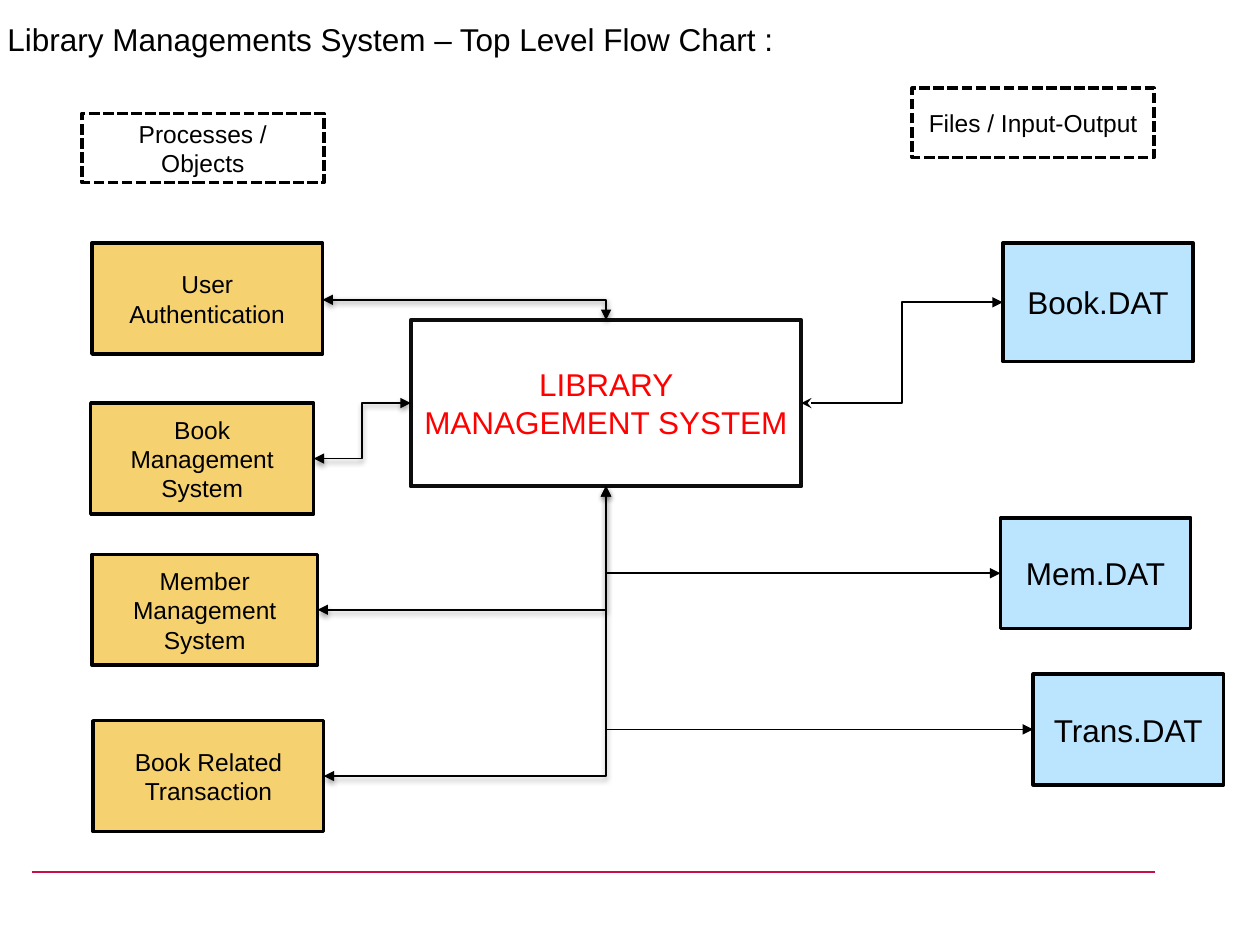
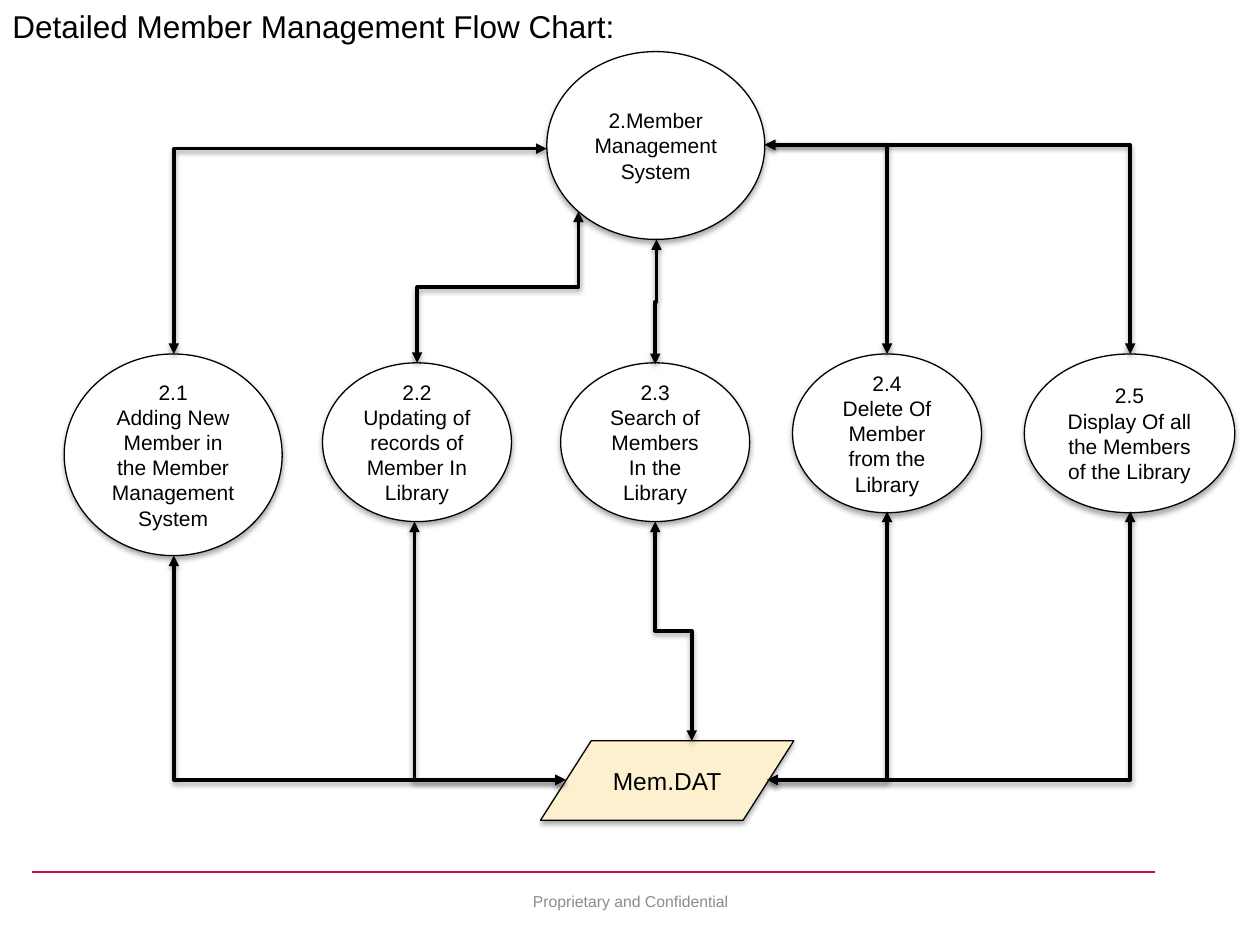
from pptx import Presentation
from pptx.dml.color import RGBColor
from pptx.enum import dml, shapes, text
from pptx.oxml import parse_xml
from pptx.oxml.ns import nsdecls, qn
from pptx.util import Inches, Pt

BLACK = RGBColor(0, 0, 0)
INK = RGBColor(0x0D, 0x0D, 0x0D)
WHITE = RGBColor(255, 255, 255)
RED = RGBColor(255, 0, 0)
GOLD = RGBColor(0xF5, 0xD1, 0x70)
CREAM = RGBColor(0xFC, 0xF0, 0xCF)
SKY = RGBColor(0xBB, 0xE5, 0xFF)
ROSE = RGBColor(0xC8, 0x10, 0x46)
GREY = RGBColor(0x8C, 0x8C, 0x8C)
FONT = "Arial"
KIND = shapes.MSO_SHAPE
MID = text.MSO_ANCHOR.MIDDLE
LEFT = text.PP_ALIGN.LEFT
CENTER = text.PP_ALIGN.CENTER


def write(item, words, size=14, color=BLACK, align=CENTER, anchor=MID, wrap=True, inset=None):
    """Fill a shape with formatted paragraphs, one for each line of words."""
    frame = item.text_frame
    frame.word_wrap = wrap
    frame.vertical_anchor = anchor
    if inset is not None:
        frame.margin_left = frame.margin_right = Inches(inset)
        frame.margin_top = frame.margin_bottom = Inches(inset)
    frame.text = words
    for para in frame.paragraphs:
        para.alignment = align
        font = para.runs[0].font
        font.name, font.size, font.color.rgb = FONT, Pt(size), color


def shade(props, alpha, dist):
    """Give shape properties a soft shadow that falls straight down."""
    old = props.find(qn("a:effectLst"))
    if old is not None:
        props.remove(old)
    drop = (f'<a:outerShdw blurRad="40000" dist="{dist}" dir="5400000" rotWithShape="0">'
            f'<a:srgbClr val="000000"><a:alpha val="{alpha}000"/></a:srgbClr>'
            '</a:outerShdw>') if alpha else ""
    props.append(parse_xml(f'<a:effectLst {nsdecls("a")}>{drop}</a:effectLst>'))


class Pane:
    """A region of a slide whose items are placed from its top left corner."""

    def __init__(self, slide, left=0, top=0):
        self.items, self.left, self.top = slide.shapes, left, top

    def spot(self, x, y):
        """Turn a place in the region into a place on the slide."""
        return Inches(self.left + x), Inches(self.top + y)

    def label(self, box, words, **form):
        """Add a text box."""
        x, y, w, h = box
        item = self.items.add_textbox(*self.spot(x, y), Inches(w), Inches(h))
        write(item, words, **form)

    def node(self, box, words, kind=KIND.RECTANGLE, fill=None, line=BLACK,
             width=2, dash=None, shadow=False, **form):
        """Add an outlined shape with text."""
        x, y, w, h = box
        item = self.items.add_shape(kind, *self.spot(x, y), Inches(w), Inches(h))
        if fill is None:
            item.fill.background()
        else:
            item.fill.solid()
            item.fill.fore_color.rgb = fill
        item.line.color.rgb, item.line.width = line, Pt(width)
        if dash:
            item.line.dash_style = dash
        shade(item._element.spPr, 35 if shadow else 0, 23000)
        write(item, words, **form)

    def link(self, start, end, kind="bend", color=BLACK, width=1.0,
             ends=("triangle", "triangle"), shadow=True):
        """Join two points: straight, bend (across, then up or down), step or drop."""
        (ax, ay), (bx, by) = start, end
        if kind == "drop":
            mx, my = (ax + bx) / 2, (ay + by) / 2
            dx, dy = (bx - ax) / 2, (by - ay) / 2
            ax, ay, bx, by = mx - dy, my + dx, mx + dy, my - dx
        style = shapes.MSO_CONNECTOR.STRAIGHT if kind == "straight" else shapes.MSO_CONNECTOR.ELBOW
        item = self.items.add_connector(style, *self.spot(ax, ay), *self.spot(bx, by))
        item.line.color.rgb, item.line.width = color, Pt(width)
        props = item._element.spPr
        if kind == "bend":
            props.prstGeom.set("prst", "bentConnector2")
        if kind == "drop":
            props.xfrm.set("rot", "5400000")
        for tag, tip in zip(("headEnd", "tailEnd"), ends):
            props.ln.append(parse_xml(f'<a:{tag} {nsdecls("a")} type="{tip}"/>'))
        shade(props, 38 if shadow else 0, 20000)


def base(deck):
    """Add a blank slide with the rule along its foot."""
    slide = deck.slides.add_slide(deck.slide_layouts[6])
    Pane(slide).link((0.25, 6.92), (9.17, 6.92), "straight", ROSE, 0.75, (), False)
    return slide


def tasks(pane):
    """Draw the column of processes."""
    pane.node((0, 0, 1.92, 0.55), "Processes / Objects", dash=dml.MSO_LINE.SQUARE_DOT)
    for x, y, w, words in (
            (0.08, 1.03, 1.83, "User Authentication"),
            (0.07, 2.3, 1.77, "Book Management System"),
            (0.08, 3.5, 1.79, "Member Management System"),
            (0.09, 4.82, 1.83, "Book Related Transaction")):
        pane.node((x, y, w, 0.88), words, fill=GOLD)


def files(pane):
    """Draw the column of data files."""
    pane.node((0, 0, 1.92, 0.55), "Files / Input-Output", dash=dml.MSO_LINE.SQUARE_DOT)
    for x, y, h, words in ((0.72, 1.23, 0.94, "Book.DAT"),
                           (0.7, 3.41, 0.88, "Mem.DAT"),
                           (0.96, 4.65, 0.88, "Trans.DAT")):
        pane.node((x, y, 1.51, h), words, fill=SKY, size=18)


def hub(pane):
    """Draw the central system and its links to both columns."""
    pane.node((0, 0, 3.1, 1.32), "LIBRARY MANAGEMENT SYSTEM", KIND.FLOWCHART_PROCESS,
              line=INK, width=2.25, size=18, color=RED)
    mid, foot = 1.55, 1.32
    pane.link((3.1, 0.66), (4.7, -0.14), "step", ends=("stealth", "triangle"), shadow=False)
    pane.link((-0.77, 1.1), (0, 0.66), "step")
    pane.link((-0.7, -0.16), (mid, 0), width=1.5)
    for x, y in ((-0.74, 2.3), (-0.69, 3.62)):
        pane.link((x, y), (mid, foot))
    for x, y in ((4.94, 3.25), (4.68, 2.01)):
        pane.link((x, y), (mid, foot), ends=("triangle", "stealth"), shadow=False)


def member(pane):
    """Draw the member system, its five tasks and the data file they share."""
    disc = dict(kind=KIND.OVAL, fill=WHITE, width=0.75, shadow=True, size=12)
    pane.node((3.78, 5.47, 2.01, 0.63), "Mem.DAT", KIND.FLOWCHART_DATA,
              fill=CREAM, width=0.75, shadow=True)
    pane.node((3.83, 0, 1.73, 1.49), "2.Member Management System", **disc)
    steps = (((0, 2.4, 1.73, 1.6), "Adding New Member in the Member Management System"),
             ((2.05, 2.47, 1.5, 1.26), "Updating of records of Member In Library"),
             ((3.94, 2.47, 1.5, 1.26), "Search of Members In the Library"),
             ((5.78, 2.4, 1.5, 1.26), "Delete Of Member from the Library"),
             ((7.62, 2.4, 1.67, 1.26), "Display Of all the Members of the Library"))
    for num, (box, words) in enumerate(steps, 1):
        pane.node(box, f"2.{num}\n{words}", **disc)
    pane.link((3.83, 0.77), (0.87, 2.4), width=2)
    for x in (6.53, 8.46):
        pane.link((5.56, 0.74), (x, 2.4), width=2)
        pane.link((5.58, 5.78), (x, 3.65), width=2)
    for x, y in ((0.87, 4), (2.78, 3.73)):
        pane.link((3.98, 5.78), (x, y), width=2)
    for start, end in (((4.08, 1.27), (2.8, 2.47)),
                       ((4.7, 1.49), (4.69, 2.48)),
                       ((4.69, 3.73), (4.98, 5.47))):
        pane.link(start, end, "drop", width=2)


def main():
    """Build both slides."""
    deck = Presentation()
    deck.slide_width, deck.slide_height = Inches(10), Inches(7.5)

    slide = base(deck)
    Pane(slide).label((-0.04, 0.03, 7.29, 0.55),
                      "Library Managements System – Top Level Flow Chart :", size=18, align=LEFT)
    tasks(Pane(slide, 0.65, 0.9))
    files(Pane(slide, 7.24, 0.7))
    hub(Pane(slide, 3.26, 2.54))

    slide = base(deck)
    Pane(slide).label((0, 0.01, 5.03, 0.4), "Detailed Member Management Flow Chart:",
                      size=18, align=LEFT, anchor=text.MSO_ANCHOR.TOP, wrap=False)
    Pane(slide).label((3.42, 6.95, 3.17, 0.4), "Proprietary and Confidential",
                      size=9, color=GREY, inset=0)
    member(Pane(slide, 0.51, 0.41))
    deck.save("out.pptx")


if __name__ == "__main__":
    main()
